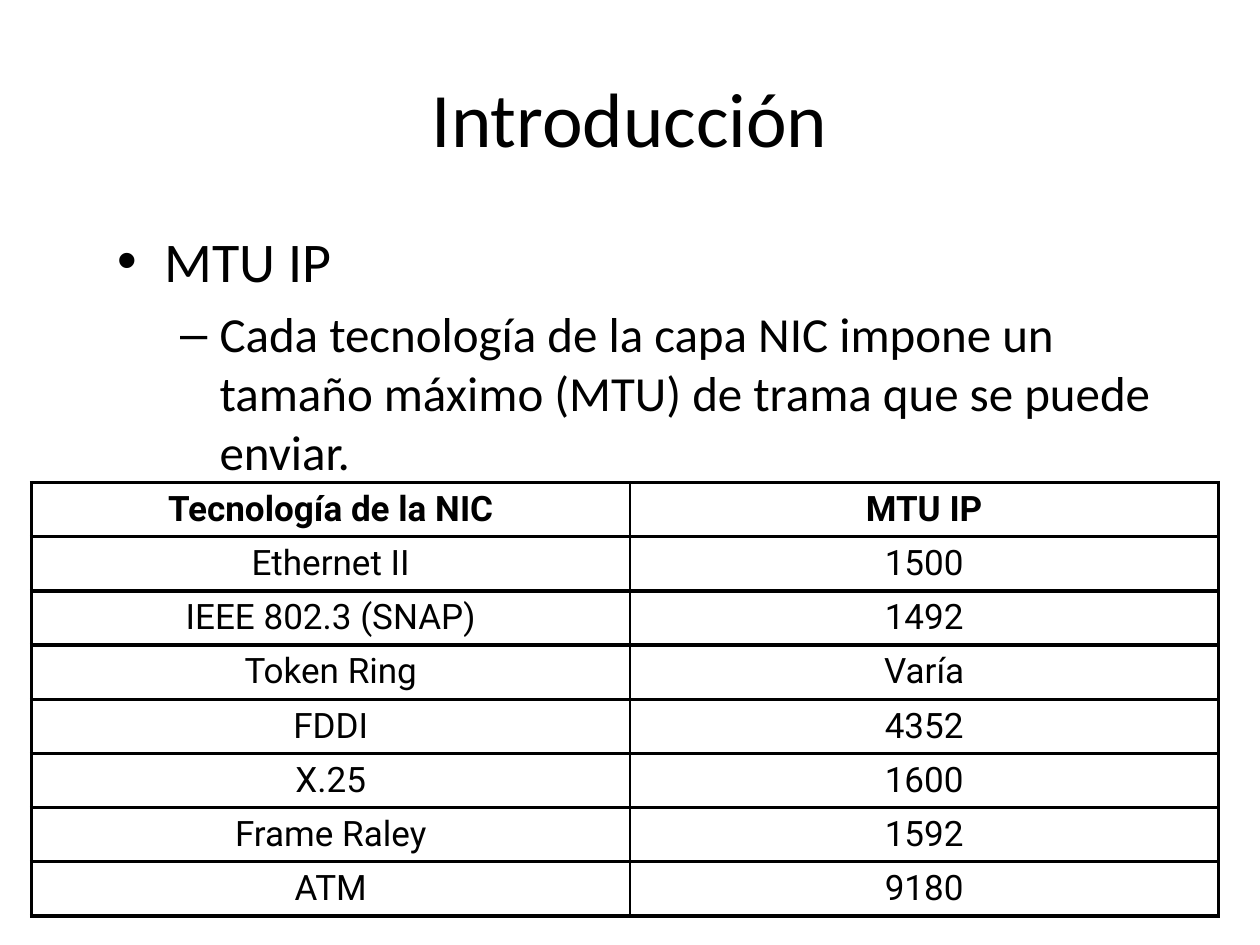
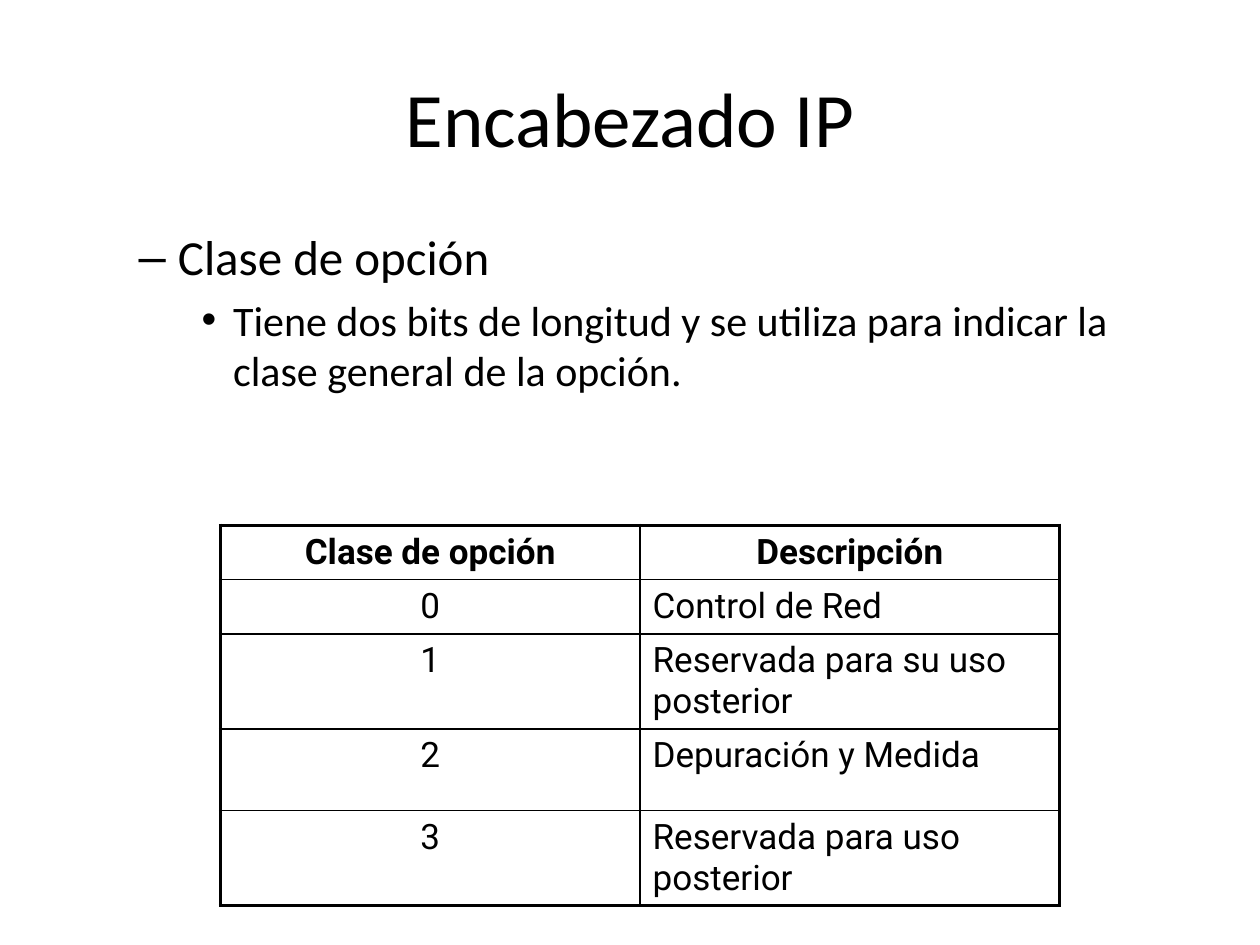
from dataclasses import dataclass

from lxml import etree
from pptx import Presentation
from pptx.dml.color import RGBColor
from pptx.enum.text import MSO_ANCHOR, PP_ALIGN
from pptx.oxml.ns import qn
from pptx.util import Inches, Pt

CENTER, LEFT = PP_ALIGN.CENTER, PP_ALIGN.LEFT
MIDDLE = MSO_ANCHOR.MIDDLE
TITLE_AND_CONTENT = 1


@dataclass(frozen=True)
class Theme:
    text: str = "000000"
    border: str = "000000"
    heading_font: str = "Calibri"
    table_font: str = "Roboto"
    title_size: int = 44
    level_sizes: tuple = (32, 28, 24)
    table_size: int = 20
    thick: float = 2.25
    thin: float = 1
    paragraph_gap: float = 0.2  # share of the type size


THEME = Theme()
SLIDE_WIDTH, SLIDE_HEIGHT = 10, 7.5
TITLE_BOX = (0.5, 0.3, 9, 1.25)

# Boxes are left, top, width, height in inches; bullets are (level, text).
SLIDES = [
    {
        "title": "Introducción",
        "body_box": (0.83, 1.75, 8.5, 4.5),
        "bullets": [
            (0, "MTU IP"),
            (1, "Cada tecnología de la capa NIC impone un tamaño máximo (MTU) "
                "de trama que se puede enviar."),
        ],
        "table": {
            "origin": (0.25, 3.83),
            "columns": (4.75, 4.67),
            "row_heights": [0.43] * 8,
            "alignments": (CENTER, CENTER),
            "row_rule": THEME.thick,
            "rows": [
                ("Tecnología de la NIC", "MTU IP"),
                ("Ethernet II", "1500"),
                ("IEEE 802.3 (SNAP)", "1492"),
                ("Token Ring", "Varía"),
                ("FDDI", "4352"),
                ("X.25", "1600"),
                ("Frame Raley", "1592"),
                ("ATM", "9180"),
            ],
        },
    },
    {
        "title": "Encabezado IP",
        "body_box": (0.5, 1.75, 9, 4.95),
        "bullets": [
            (1, "Clase de opción"),
            (2, "Tiene dos bits de longitud y se utiliza para indicar la clase "
                "general de la opción."),
        ],
        "table": {
            "origin": (1.75, 4.17),
            "columns": (3.33, 3.33),
            "row_heights": [0.43, 0.43, 0.75, 0.65, 0.75],
            "alignments": (CENTER, LEFT),
            "row_rule": THEME.thin,
            "rows": [
                ("Clase de opción", "Descripción"),
                ("0", "Control de Red"),
                ("1", "Reservada para su uso posterior"),
                ("2", "Depuración y Medida"),
                ("3", "Reservada para uso posterior"),
            ],
        },
    },
]


def place(shape, box):
    shape.left, shape.top, shape.width, shape.height = map(Inches, box)


def add_run(paragraph, text, font_name, size, bold=False):
    run = paragraph.add_run()
    run.text = text
    run.font.name = font_name
    run.font.size = Pt(size)
    run.font.bold = bold
    run.font.color.rgb = RGBColor.from_string(THEME.text)


def fill_title(shape, text):
    place(shape, TITLE_BOX)
    shape.text_frame.vertical_anchor = MIDDLE
    paragraph = shape.text_frame.paragraphs[0]
    paragraph.alignment = CENTER
    add_run(paragraph, text, THEME.heading_font, THEME.title_size)


def fill_body(shape, box, bullets):
    """Write the list; bullet signs and indents come from the template levels."""
    place(shape, box)
    frame = shape.text_frame
    for index, (level, text) in enumerate(bullets):
        paragraph = frame.add_paragraph() if index else frame.paragraphs[0]
        size = THEME.level_sizes[level]
        paragraph.level = level
        paragraph.space_before = Pt(size * THEME.paragraph_gap if index else 0)
        add_run(paragraph, text, THEME.heading_font, size)


def set_borders(cell, widths):
    """Draw the left, right, top and bottom borders with widths in points."""
    properties = cell._tc.get_or_add_tcPr()
    for side, width in zip("LRTB", widths):
        line = etree.SubElement(properties, qn(f"a:ln{side}"), w=str(Pt(width)))
        fill = etree.SubElement(line, qn("a:solidFill"))
        etree.SubElement(fill, qn("a:srgbClr"), val=THEME.border)


def add_ruled_table(slide, origin, columns, row_heights, alignments, row_rule, rows):
    """Add a table with a thick frame, thin column rules and a bold first row."""
    box = (*origin, sum(columns), sum(row_heights))
    table = slide.shapes.add_table(len(rows), len(columns), *map(Inches, box)).table
    table.first_row = table.horz_banding = False
    for column, width in zip(table.columns, columns):
        column.width = Inches(width)
    for row, height in zip(table.rows, row_heights):
        row.height = Inches(height)

    last_row, last_column = len(rows) - 1, len(columns) - 1
    for row_index, texts in enumerate(rows):
        is_header = row_index == 0
        for column_index, text in enumerate(texts):
            cell = table.cell(row_index, column_index)
            set_borders(cell, (
                THEME.thick if column_index == 0 else THEME.thin,
                THEME.thick if column_index == last_column else THEME.thin,
                THEME.thick if is_header else row_rule,
                THEME.thick if row_index == last_row else row_rule,
            ))
            cell.fill.background()
            paragraph = cell.text_frame.paragraphs[0]
            paragraph.alignment = CENTER if is_header else alignments[column_index]
            add_run(paragraph, text, THEME.table_font, THEME.table_size, is_header)


def main():
    presentation = Presentation()
    presentation.slide_width = Inches(SLIDE_WIDTH)
    presentation.slide_height = Inches(SLIDE_HEIGHT)
    layout = presentation.slide_layouts[TITLE_AND_CONTENT]
    for content in SLIDES:
        slide = presentation.slides.add_slide(layout)
        fill_title(slide.shapes.title, content["title"])
        fill_body(slide.placeholders[1], content["body_box"], content["bullets"])
        add_ruled_table(slide, **content["table"])
    presentation.save("out.pptx")


if __name__ == "__main__":
    main()
